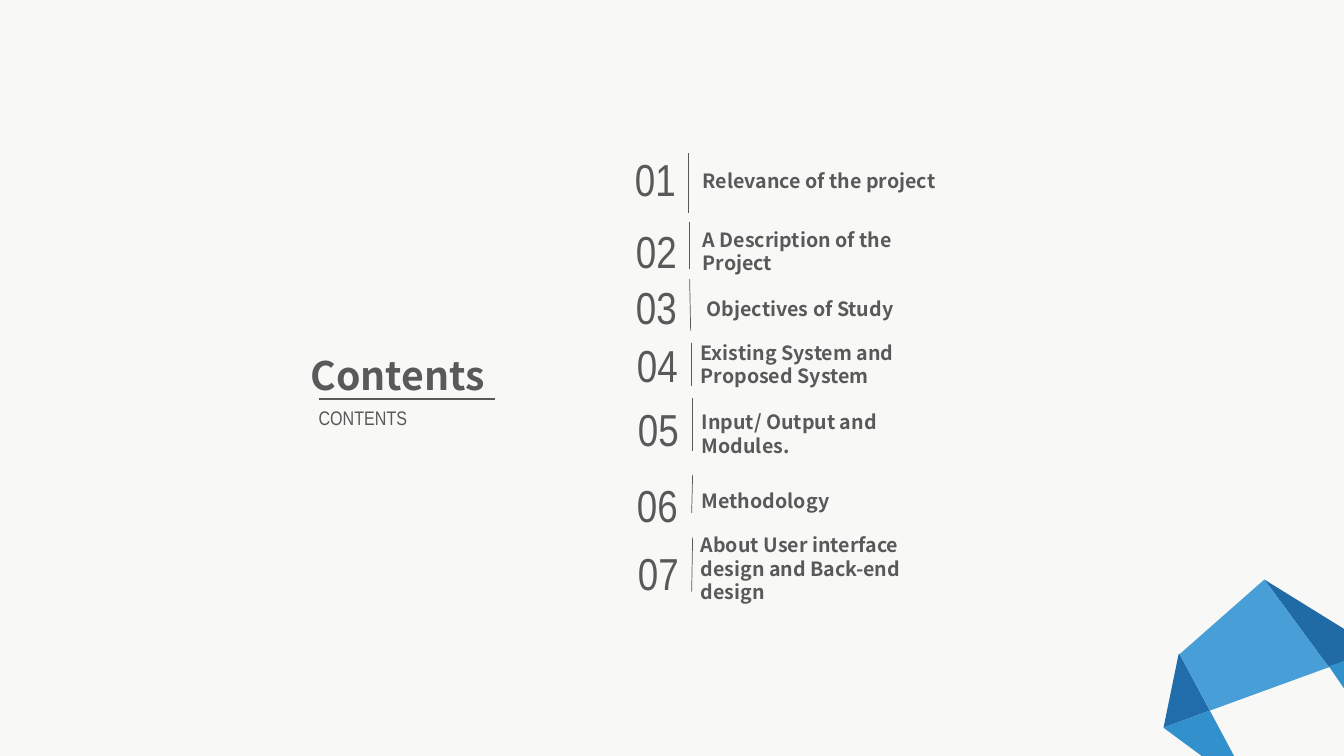
from lxml import etree
from pptx import Presentation
from pptx.dml.color import RGBColor
from pptx.enum.shapes import MSO_CONNECTOR
from pptx.enum.text import PP_ALIGN
from pptx.oxml.ns import qn
from pptx.util import Inches, Pt

STRAIGHT = MSO_CONNECTOR.STRAIGHT
LEFT, CENTER, JUSTIFY = PP_ALIGN.LEFT, PP_ALIGN.CENTER, PP_ALIGN.JUSTIFY

BACKGROUND = RGBColor(0xF8, 0xF8, 0xF6)
GRAY = RGBColor(0x59, 0x59, 0x59)
NAVY = RGBColor(0x21, 0x6D, 0xAB)
DEEP_BLUE = RGBColor(0x20, 0x6B, 0xA5)
BLUE = RGBColor(0x32, 0x90, 0xCD)
LIGHT_BLUE = RGBColor(0x48, 0x9E, 0xD7)
EDGE_BLUE = RGBColor(0x32, 0x91, 0xCA)

HEADING_FONT = "Noto Sans CJK SC"
NUMBER_FONT = "Arial Narrow"

prs = Presentation()
prs.slide_width, prs.slide_height = Inches(13.33), Inches(7.5)
slide = prs.slides.add_slide(prs.slide_layouts[6])
slide.background.fill.solid()
slide.background.fill.fore_color.rgb = BACKGROUND


def add_text(text, left, top, width, height, size, font_name, align=LEFT, wrap=True):
    frame = slide.shapes.add_textbox(
        Inches(left), Inches(top), Inches(width), Inches(height)).text_frame
    frame.word_wrap = wrap
    frame.margin_left = frame.margin_right = 0
    frame.margin_top = frame.margin_bottom = 0
    paragraph = frame.paragraphs[0]
    paragraph.text = text
    paragraph.alignment = align
    font = paragraph.font
    font.name, font.size, font.color.rgb = font_name, Pt(size), GRAY
    font.bold = font_name == HEADING_FONT
    for run in paragraph.runs:
        east_asian = etree.SubElement(run._r.get_or_add_rPr(), qn("a:ea"))
        east_asian.set("typeface", font_name)


def add_rule(x1, y1, x2, y2, width):
    rule = slide.shapes.add_connector(
        STRAIGHT, Inches(x1), Inches(y1), Inches(x2), Inches(y2))
    rule.line.color.rgb = GRAY
    rule.line.width = Pt(width)
    etree.SubElement(rule._element.spPr, qn("a:effectLst"))


# Folded ribbon in the bottom right corner
ribbon_facets = [
    (NAVY, [(11.54, 7.22), (11.69, 6.49), (11.7, 6.49), (12, 7.05)]),
    (DEEP_BLUE, [(13.18, 6.62), (12.54, 5.75), (13.33, 6.24), (13.33, 6.56)]),
    (BLUE, [(12.24, 7.5), (11.92, 7.5), (11.54, 7.22), (12, 7.05)]),
    (LIGHT_BLUE, [(12, 7.05), (11.7, 6.49), (12.54, 5.75), (13.18, 6.62)]),
    (EDGE_BLUE, [(13.33, 6.83), (13.18, 6.61), (13.33, 6.56)]),
]
for color, corners in ribbon_facets:
    points = [(Inches(x), Inches(y)) for x, y in corners]
    outline = slide.shapes.build_freeform(*points[0])
    outline.add_line_segments(points[1:], close=True)
    facet = outline.convert_to_shape()
    facet.shadow.inherit = False
    facet.fill.solid()
    facet.fill.fore_color.rgb = color
    facet.line.fill.background()

# Title block
add_text("Contents", 3.08, 3.49, 1.82, 0.47, 28, HEADING_FONT, JUSTIFY)
add_text("CONTENTS", 3.16, 4.03, 1.75, 0.24, 14, NUMBER_FONT, JUSTIFY)
add_rule(3.16, 3.96, 4.91, 3.96, 1)

# Agenda: topic, its left and top, number centre and top, divider ends
NUMBER_WIDTH = 0.5
agenda = [
    ("Relevance of the project", 6.97, 1.68, 6.5, 1.51, (6.83, 1.52, 6.83, 2.11)),
    ("A Description of the Project", 6.97, 2.26, 6.51, 2.22, (6.84, 2.2, 6.84, 2.67)),
    ("Objectives of Study", 7.01, 2.95, 6.51, 2.78, (6.84, 2.77, 6.85, 3.28)),
    ("Existing System and Proposed System", 6.95, 3.38, 6.52, 3.35, (6.86, 3.4, 6.86, 3.83)),
    ("Input/ Output and Modules.", 6.96, 4.07, 6.53, 3.99, (6.87, 3.95, 6.87, 4.47)),
    ("Methodology", 6.96, 4.85, 6.52, 4.74, (6.87, 4.71, 6.86, 5.09)),
    ("About User interface design and Back-end design", 6.95, 5.29, 6.53, 5.41,
     (6.87, 5.33, 6.86, 5.87)),
]
for number, (topic, left, top, center, number_top, divider) in enumerate(agenda, 1):
    add_text(topic, left, top, 2.44, 0.47, 14, HEADING_FONT)
    add_text(f"{number:02}", center - NUMBER_WIDTH / 2, number_top,
             NUMBER_WIDTH, 0.54, 32, NUMBER_FONT, CENTER, wrap=False)
    add_rule(*divider, 0.5)

prs.save("out.pptx")
